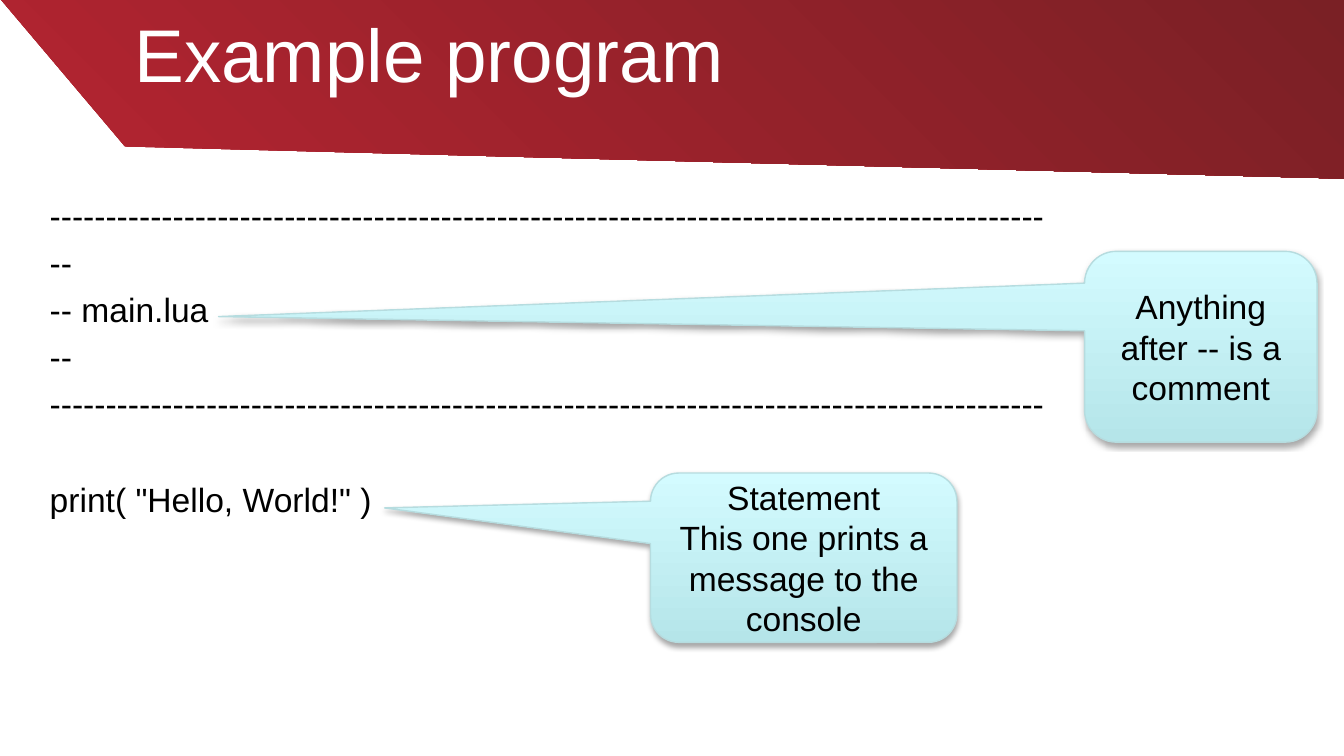
from lxml.etree import SubElement
from pptx import Presentation
from pptx.dml.color import RGBColor
from pptx.enum.shapes import MSO_SHAPE
from pptx.enum.text import MSO_ANCHOR, PP_ALIGN
from pptx.oxml.ns import qn
from pptx.util import Inches, Pt

COLORS = {
    "white": "FFFFFF",
    "black": "000000",
    "dark_red": "7A2025",
    "red": "B52431",
    "aqua": "B5E5E9",
    "pale_aqua": "D3FBFF",
    "aqua_line": "B6DCDF",
}
RULE = "-" * 89
CODE_LINES = [RULE, "--", "-- main.lua", "--", RULE, 'print( "Hello, World!" )']


def color(name):
    """Return the palette colour with this name."""
    return RGBColor.from_string(COLORS[name])


def place(shape, left, top, width, height):
    """Move and size a shape, in inches."""
    shape.left, shape.top = Inches(left), Inches(top)
    shape.width, shape.height = Inches(width), Inches(height)


def write(para, text, size=18, font="Arial", ink="black", align=PP_ALIGN.LEFT, before=0):
    """Write one formatted span of text into a paragraph."""
    para.alignment = align
    para.space_before = Pt(before)
    span = para.add_run()
    span.text = text
    span.font.size = Pt(size)
    span.font.name = font
    span.font.color.rgb = color(ink)


def write_lines(frame, lines, **formats):
    """Write each line as a paragraph and return the paragraphs."""
    for index, line in enumerate(lines):
        para = frame.add_paragraph() if index else frame.paragraphs[0]
        write(para, line, **formats)
    return frame.paragraphs


def fill_gradient(shape, first, last, angle=90):
    """Fill a shape with a linear gradient between two colours."""
    shape.fill.gradient()
    shape.fill.gradient_angle = angle
    for stop, name in zip(shape.fill.gradient_stops, (first, last)):
        stop.color.rgb = color(name)


def add_shadow(shape):
    """Give a shape a soft shadow that falls downwards."""
    shape.shadow.inherit = False
    effects = shape._element.spPr.find(qn("a:effectLst"))
    shadow = SubElement(effects, qn("a:outerShdw"), blurRad=str(Pt(3.1)),
                        dist=str(Pt(1.8)), dir="5400000", rotWithShape="0")
    ink = SubElement(shadow, qn("a:srgbClr"), val=COLORS["black"])
    SubElement(ink, qn("a:alpha"), val="35000")


def add_band(page):
    """Draw the slanted red band behind the title."""
    points = [(Inches(x), Inches(y)) for x, y in
              [(0, -0.01), (10.02, -0.01), (10.02, 1.33), (0.93, 1.09)]]
    builder = page.shapes.build_freeform(*points[0], scale=1.0)
    builder.add_line_segments(points[1:], close=True)
    band = builder.convert_to_shape()
    band.shadow.inherit = False
    band.line.fill.background()
    fill_gradient(band, "dark_red", "red")
    gradient = band._element.spPr.find(qn("a:gradFill"))
    gradient.remove(gradient.find(qn("a:lin")))
    circle = SubElement(gradient, qn("a:path"), path="circle")
    SubElement(circle, qn("a:fillToRect"), l="100000", b="100000")
    page.shapes._spTree.insert(2, band._element)


def add_title(page, text):
    """Set the slide title."""
    title = page.shapes.title
    place(title, 0.9, 0.1, 7.64, 0.59)
    title.text_frame.vertical_anchor = MSO_ANCHOR.MIDDLE
    write(title.text_frame.paragraphs[0], text, size=40, ink="white")


def add_code(page, lines):
    """List the program without bullets, with a gap above its statement."""
    body = page.placeholders[1]
    place(body, 0.27, 1.4, 9.45, 4.02)
    paras = write_lines(body.text_frame, lines, before=3.6)
    paras[-1].space_before = Pt(29.5)
    for para in paras:
        properties = para._p.get_or_add_pPr()
        properties.set("marL", "0")
        properties.set("indent", "0")
        SubElement(properties, qn("a:buNone"))


def add_callout(page, lines, bounds, tail):
    """Add a rounded callout whose tail points at a line of code."""
    box = page.shapes.add_shape(MSO_SHAPE.ROUNDED_RECTANGULAR_CALLOUT, 0, 0, 0, 0)
    place(box, *bounds)
    for index, value in enumerate((*tail, 0.167)):
        box.adjustments[index] = value
    fill_gradient(box, "aqua", "pale_aqua")
    box.line.color.rgb = color("aqua_line")
    box.line.width = Pt(0.75)
    add_shadow(box)
    box.text_frame.word_wrap = True
    box.text_frame.vertical_anchor = MSO_ANCHOR.MIDDLE
    write_lines(box.text_frame, lines, align=PP_ALIGN.CENTER)


def main():
    """Build the slide and save it."""
    deck = Presentation()
    deck.slide_width, deck.slide_height = Inches(10), Inches(10 * 9 / 16)
    page = deck.slides.add_slide(deck.slide_layouts[1])
    add_band(page)
    add_title(page, "Example program")
    add_code(page, CODE_LINES)
    add_callout(page, ["Anything after -- is a comment"],
                (8.07, 1.87, 1.73, 1.42), (-4.225, -0.158))
    add_callout(page, ["Statement", "This one prints a message to the console"],
                (4.84, 3.52, 2.28, 1.26), (-1.368, -0.294))
    deck.save("out.pptx")


if __name__ == "__main__":
    main()
